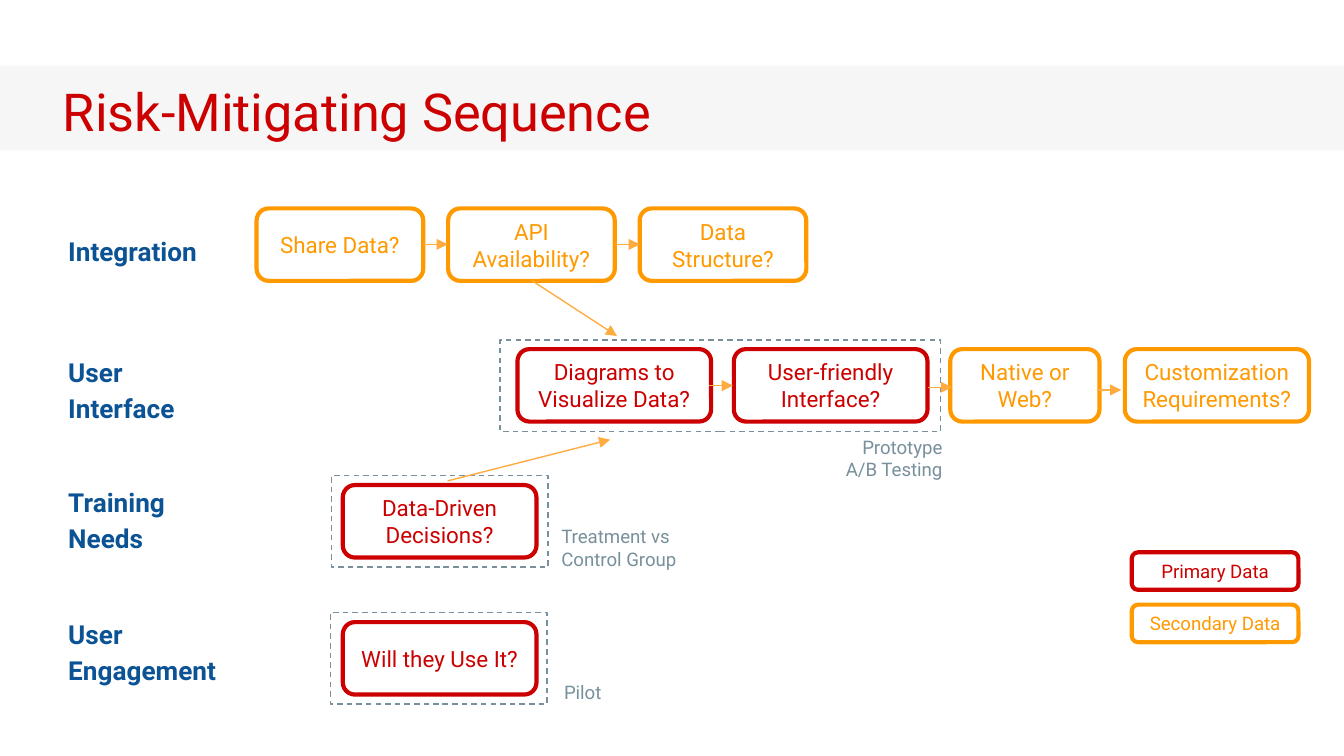
import dataclasses

import pptx
import pptx.util
import pptx.dml.color
import pptx.enum.dml
import pptx.enum.shapes
import pptx.enum.text
import pptx.oxml
import pptx.oxml.ns

Cm = pptx.util.Cm
Pt = pptx.util.Pt
Kind = pptx.enum.shapes.MSO_SHAPE
Align = pptx.enum.text.PP_ALIGN
Anchor = pptx.enum.text.MSO_ANCHOR

HUES = {
    "first": "CC0000",
    "second": "FF9900",
    "label": "0B5394",
    "note": "78909C",
    "arrow": "FFAB40",
    "band": "F3F3F3",
}


@dataclasses.dataclass
class Area:
    left: float
    top: float
    width: float
    height: float

    def place(self) -> tuple:
        return Cm(self.left), Cm(self.top), Cm(self.width), Cm(self.height)


@dataclasses.dataclass
class Box:
    text: str
    area: Area
    hue: str
    size: int = 12


@dataclasses.dataclass
class Note:
    text: str
    area: Area
    align: Align = Align.LEFT


@dataclasses.dataclass
class Arrow:
    x1: float
    y1: float
    x2: float
    y2: float


def color(name: str):
    return pptx.dml.color.RGBColor.from_string(HUES[name])


def write(shape, text: str, *, hue: str, size: int, bold: bool = False,
          align=Align.LEFT, anchor=Anchor.TOP, space: float = 1.0, left: float = 0.25) -> None:
    frame = shape.text_frame
    frame.word_wrap = True
    frame.vertical_anchor = anchor
    frame.margin_left = Cm(left)
    frame.margin_right = frame.margin_top = frame.margin_bottom = Cm(0.25)
    frame.text = text
    for para in frame.paragraphs:
        para.alignment = align
        para.line_spacing = space
        font = para.runs[0].font
        font.name = "Roboto"
        font.size = Pt(size)
        font.bold = bold
        font.color.rgb = color(hue)


def outline(slide, kind, area: Area, hue: str, width: float):
    shape = slide.shapes.add_shape(kind, *area.place())
    shape.shadow.inherit = False
    shape.fill.background()
    shape.line.color.rgb = color(hue)
    shape.line.width = Pt(width)
    return shape


def draw_box(slide, box: Box) -> None:
    shape = outline(slide, Kind.ROUNDED_RECTANGLE, box.area, box.hue, 2.25)
    write(shape, box.text, hue=box.hue, size=box.size, align=Align.CENTER, anchor=Anchor.MIDDLE)


def draw_label(slide, note: Note) -> None:
    shape = slide.shapes.add_textbox(*note.area.place())
    write(shape, note.text, hue="label", size=14, bold=True, space=1.15)


def draw_note(slide, note: Note) -> None:
    shape = slide.shapes.add_textbox(*note.area.place())
    write(shape, note.text, hue="note", size=10, align=note.align)


def draw_frame(slide, area: Area) -> None:
    shape = outline(slide, Kind.RECTANGLE, area, "note", 0.75)
    shape.line.dash_style = pptx.enum.dml.MSO_LINE.DASH


def draw_arrow(slide, arrow: Arrow) -> None:
    line = slide.shapes.add_connector(
        pptx.enum.shapes.MSO_CONNECTOR.STRAIGHT,
        Cm(arrow.x1), Cm(arrow.y1), Cm(arrow.x2), Cm(arrow.y2))
    line.line.color.rgb = color("arrow")
    line.line.width = Pt(0.75)
    qn = pptx.oxml.ns.qn
    props = line._element.spPr
    tail = props.find(qn("a:ln")).makeelement(qn("a:tailEnd"), {"type": "triangle"})
    props.find(qn("a:ln")).append(tail)
    props.append(props.makeelement(qn("a:effectLst"), {}))


def draw_band(slide, text: str) -> None:
    band = slide.shapes.add_shape(Kind.RECTANGLE, *Area(-0.2, 1.24, 25.7, 1.6).place())
    band.shadow.inherit = False
    band.line.fill.background()
    band.fill.solid()
    band.fill.fore_color.rgb = color("band")
    qn = pptx.oxml.ns.qn
    tint = band._element.spPr.find(qn("a:solidFill"))[0]
    tint.append(tint.makeelement(qn("a:alpha"), {"val": "69000"}))
    write(band, text, hue="first", size=28, left=1.39)


TALL = 1.37
WIDE = 3.66
TOPS = [3.94, 6.6, 9.17, 11.76]

BOXES = [
    Box(text, Area(4.85 + 3.62 * i, TOPS[0], 3.15, TALL), "second")
    for i, text in enumerate(["Share Data?", "API Availability?", "Data Structure?"])
] + [
    Box("Diagrams to Visualize Data?", Area(9.78, TOPS[1], WIDE, TALL), "first"),
    Box("User-friendly Interface?", Area(13.87, TOPS[1], WIDE, TALL), "first"),
    Box("Native or Web?", Area(17.96, TOPS[1], 2.82, TALL), "second"),
    Box("Customization Requirements?", Area(21.26, TOPS[1], 3.48, TALL), "second"),
    Box("Data-Driven Decisions?", Area(6.48, TOPS[2], WIDE, TALL), "first"),
    Box("Will they Use It?", Area(6.48, TOPS[3], WIDE, TALL), "first"),
    Box("Primary Data", Area(21.39, 10.44, 3.15, 0.71), "first", 10),
    Box("Secondary Data", Area(21.39, 11.43, 3.15, 0.71), "second", 10),
]

LABELS = [
    Note("Integration", Area(1.04, 4.11, 3.28, 1.02)),
    Note("User Interface", Area(1.04, 6.4, 3.28, 1.85)),
    Note("Training Needs", Area(1.04, 8.86, 3.28, 1.02)),
    Note("User Engagement", Area(1.04, 11.35, 3.81, 1.02)),
]

FRAMES = [
    Area(9.45, 6.43, 8.33, 1.73),
    Area(6.27, 8.99, 4.09, 1.73),
    Area(6.25, 11.58, 4.09, 1.73),
]

NOTES = [
    Note("Prototype\nA/B Testing", Area(15.24, 7.98, 2.82, 1.02), Align.RIGHT),
    Note("Treatment vs Control Group", Area(10.36, 9.68, 2.82, 1.02)),
    Note("Pilot", Area(10.41, 12.65, 2.82, 1.02)),
]

STEPS = [(8, 4.62), (11.63, 4.62), (13.39, 7.29), (17.53, 7.32), (20.73, 7.37)]
ARROWS = [Arrow(x, y, x + 0.46, y) for x, y in STEPS] + [
    Arrow(10.06, 5.31, 11.66, 6.35),
    Arrow(8.46, 9.09, 11.53, 8.31),
]


def main() -> None:
    deck = pptx.Presentation()
    deck.slide_width = Cm(25.4)
    deck.slide_height = Cm(14.29)
    slide = deck.slides.add_slide(deck.slide_layouts[6])
    draw_band(slide, "Risk-Mitigating Sequence")
    groups = [
        (draw_label, LABELS),
        (draw_box, BOXES),
        (draw_frame, FRAMES),
        (draw_arrow, ARROWS),
        (draw_note, NOTES),
    ]
    for draw, items in groups:
        for item in items:
            draw(slide, item)
    deck.save("out.pptx")


if __name__ == "__main__":
    main()
